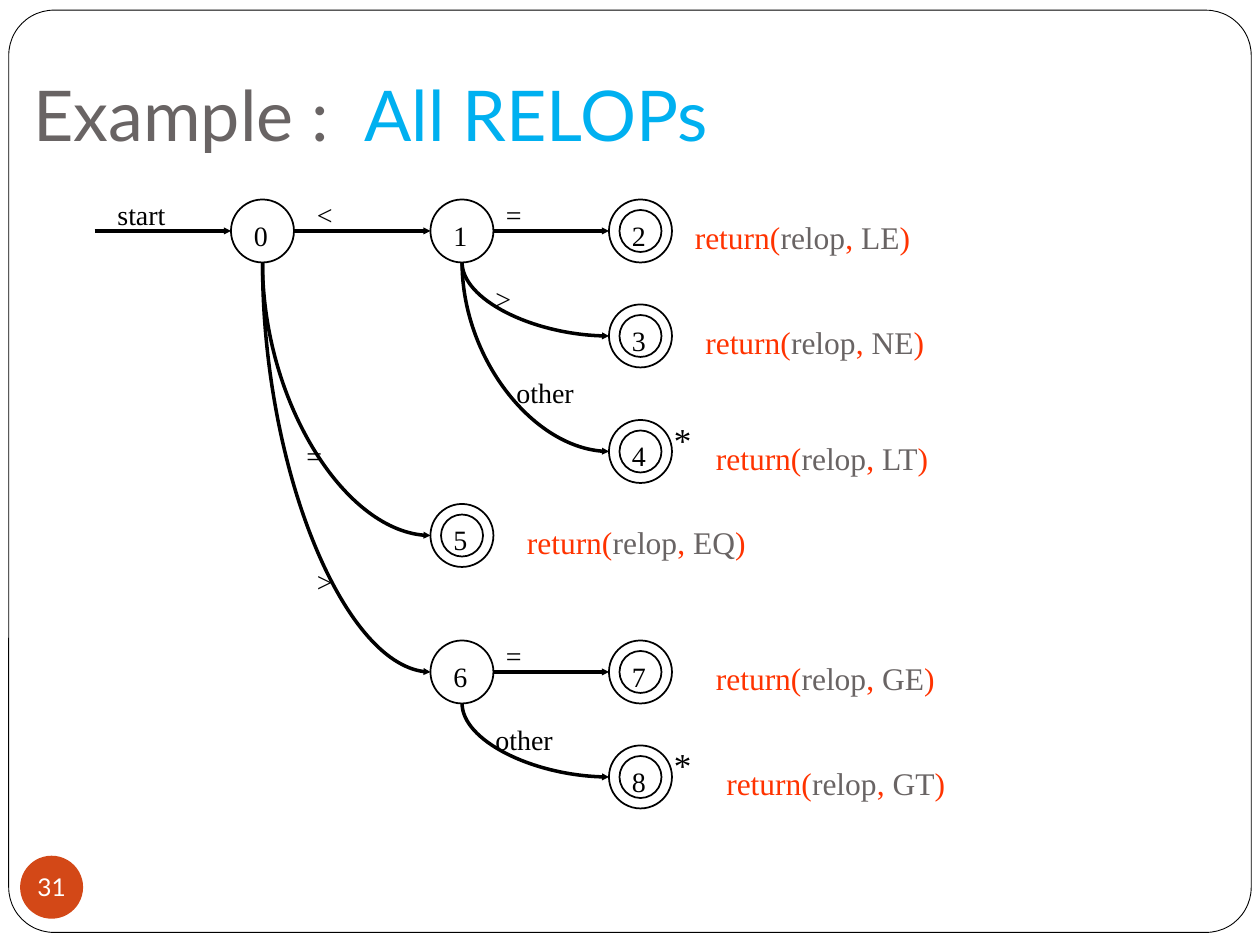
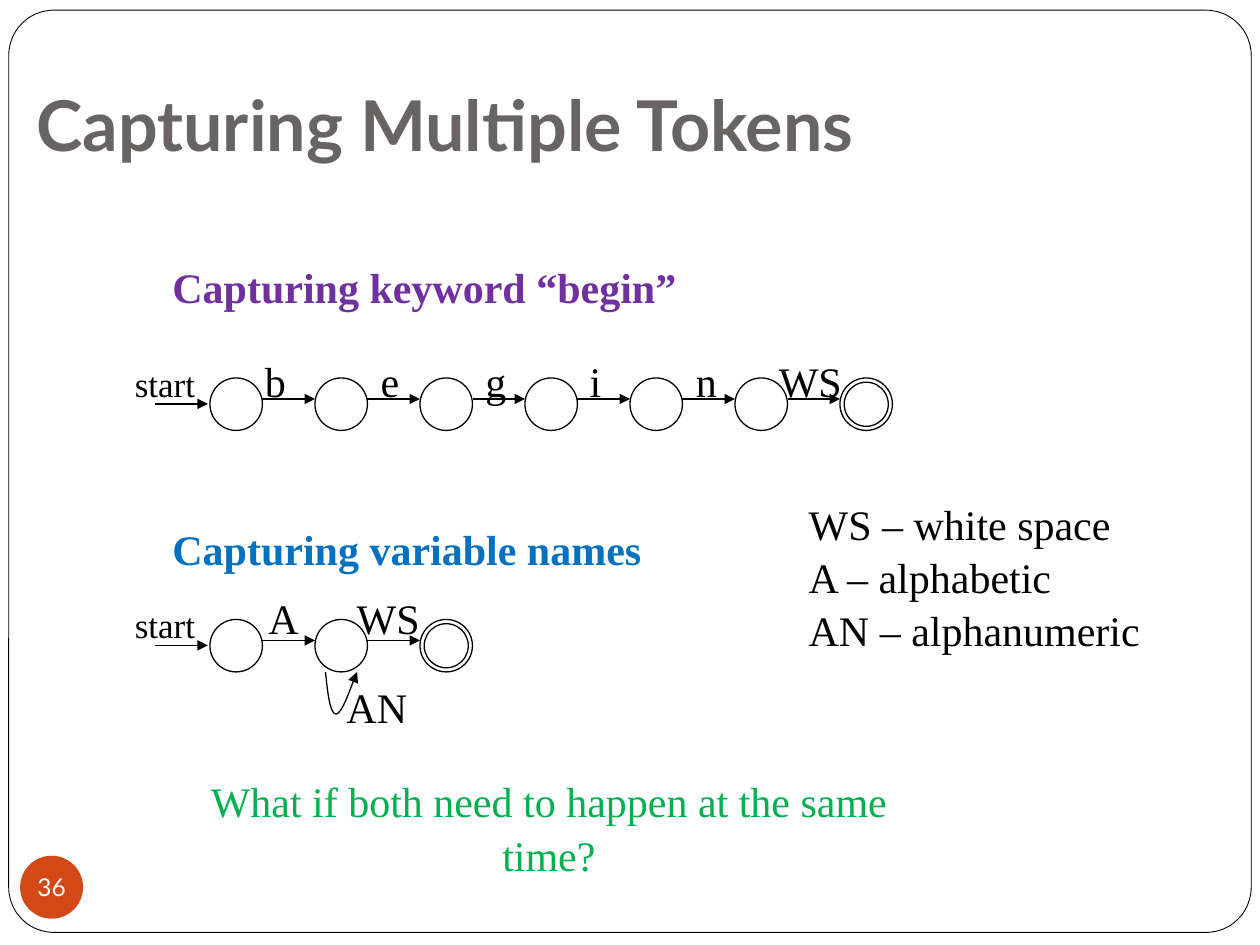
from lxml.etree import SubElement
from pptx import Presentation
from pptx.dml.color import RGBColor
from pptx.enum.shapes import MSO_CONNECTOR, MSO_SHAPE
from pptx.enum.text import MSO_ANCHOR, PP_ALIGN
from pptx.oxml.ns import qn
from pptx.util import Pt

BLACK, WHITE, GREY, RED = "000000", "FFFFFF", "696464", "FF3300"
SERIF, SANS = "Times New Roman", "Lato"
INSETS = (7.2, 3.6, 7.2, 3.6)

RELOPS = {
    "title": [("Example :  ", GREY), ("All RELOPs", "00B0F0")],
    "place": (12, 6), "bold": False, "number": "31",
}
TOKENS = {
    "title": [("Capturing Multiple Tokens", GREY)],
    "place": (13.8, 12), "bold": True, "number": "36",
}

STATES = {
    "0": (132, 114), "1": (246, 114), "2": (348, 114),
    "3": (348, 174), "4": (348, 240), "5": (246, 288),
    "6": (246, 366), "7": (348, 366), "8": (348, 426),
}
RETURNS = {
    "2": ("LE", 390), "3": ("NE", 396), "4": ("LT", 402),
    "5": ("EQ", 294), "7": ("GE", 402), "8": ("GT", 408),
}
STARRED = "48"
EDGES = [
    ("0", "1", "<", 174, 108), ("1", "2", "=", 282, 108),
    ("1", "3", ">", 276, 156), ("1", "4", "other", 288, 210),
    ("0", "5", "=", 168, 246), ("0", "6", ">", 174, 318),
    ("6", "7", "=", 282, 360), ("6", "8", "other", 276, 408),
]

CHAINS = [
    (216, 198, [("b", 157.3), ("e", 222.8), ("g", 283.3),
                ("i", 340.2), ("n", 403.6), ("WS", 463)]),
    (354, 333.4, [("A", 162), ("WS", 221.8)]),
]
HEADS = [
    ("Capturing keyword “begin”", "7030A0", 144, 305),
    ("Capturing variable names", "0070C0", 294, 285),
]
QUESTION = "What if both need to happen at the same time?"
LEGEND = ["WS – white space", "A – alphabetic", "AN – alphanumeric"]
LOOP = [(186, 384), (187.2, 396), (188.6, 408), (192, 408),
        (195.1, 408), (202.3, 388.1), (204, 384)]


def paint(code):
    return RGBColor.from_string(code)


def pts(values):
    return [Pt(value) for value in values]


def ink(line, width, code=BLACK):
    line.color.rgb = paint(code)
    line.width = Pt(width)


def point(shape, width, size):
    ink(shape.line, width)
    ln = shape.element.spPr.find(qn("a:ln"))
    SubElement(ln, qn("a:tailEnd"), type="triangle", w=size, len=size)


def draw(slide, kind, box, fill=None, width=None):
    shape = slide.shapes.add_shape(kind, *pts(box))
    shape.shadow.inherit = False
    if fill:
        shape.fill.solid()
        shape.fill.fore_color.rgb = paint(fill)
    else:
        shape.fill.background()
    if width:
        ink(shape.line, width)
    else:
        shape.line.fill.background()
    return shape


def ring(slide, x, y, size, width, inner=None):
    for span in filter(None, (size, inner)):
        gap = (size - span) / 2
        draw(slide, MSO_SHAPE.OVAL, (x + gap, y + gap, span, span), width=width)


def write(shape, rows, size, font=SERIF, bold=False, align=PP_ALIGN.LEFT,
          anchor=MSO_ANCHOR.TOP, insets=INSETS, wrap=True):
    frame = shape.text_frame
    frame.word_wrap = wrap
    frame.vertical_anchor = anchor
    (frame.margin_left, frame.margin_top,
     frame.margin_right, frame.margin_bottom) = pts(insets)
    for i, row in enumerate(rows):
        para = frame.add_paragraph() if i else frame.paragraphs[0]
        para.alignment = align
        if font == SERIF:
            para.line_spacing = 1.06
        for text, code in row:
            run = para.add_run()
            run.text = text
            run.font.name = font
            run.font.size = Pt(size)
            run.font.bold = bold
            run.font.color.rgb = paint(code)


def label(slide, box, rows, size, **style):
    write(slide.shapes.add_textbox(*pts(box)), rows, size, **style)


def note(slide, text, mid, y, size=24, code=BLACK, width=60, bold=False):
    label(slide, (mid - width / 2, y, width, 36), [[(text, code)]], size,
          bold=bold, align=PP_ALIGN.CENTER, wrap=False)


def arrow(slide, start, end, width, size, curved=False):
    kind = MSO_CONNECTOR.STRAIGHT
    if curved:
        kind = MSO_CONNECTOR.CURVE
        wide, high = end[0] - start[0], end[1] - start[1]
        x, y = start[0] + wide / 2, start[1] + high / 2
        start = (x + high / 2, y - wide / 2)
        end = (x - high / 2, y + wide / 2)
    line = slide.shapes.add_connector(kind, *pts(start + end))
    props = line.element.spPr
    if curved:
        props.find(qn("a:xfrm")).set("rot", "16200000")
        props.find(qn("a:prstGeom")).set("prst", "curvedConnector2")
    point(line, width, size)
    SubElement(props, qn("a:effectLst"))


def loop(slide):
    first, *rest = [pts(spot) for spot in LOOP]
    maker = slide.shapes.build_freeform(*first)
    maker.add_line_segments(rest, close=False)
    shape = maker.convert_to_shape()
    shape.shadow.inherit = False
    shape.fill.background()
    point(shape, 0.75, "med")
    lines = list(shape.element.iter(qn("a:lnTo")))
    for i in range(0, len(lines), 3):
        trio = lines[i:i + 3]
        curve = SubElement(trio[0].getparent(), qn("a:cubicBezTo"))
        for step in trio:
            curve.append(step[0])
            step.getparent().remove(step)


def begin(deck, data):
    slide = deck.slides.add_slide(deck.slide_layouts[6])
    frame = draw(slide, MSO_SHAPE.ROUNDED_RECTANGLE, (5, 5.8, 710, 527), WHITE, 0.5)
    frame.adjustments[0] = 0.049
    label(slide, data["place"] + (600, 90), [data["title"]], 40, font=SANS,
          bold=data["bold"], anchor=MSO_ANCHOR.BOTTOM, insets=(7.2, 3.6, 7.2, 7.2))
    badge = draw(slide, MSO_SHAPE.OVAL, (11.5, 489, 36, 36), "D34817")
    write(badge, [[(data["number"], WHITE)]], 14, font=SANS, align=PP_ALIGN.CENTER,
          anchor=MSO_ANCHOR.MIDDLE, insets=(0, 0, 0, 0), wrap=False)
    return slide


def relops(deck):
    slide = begin(deck, RELOPS)
    arrow(slide, (54, 132), (132, 132), 2, "sm")
    label(slide, (60, 108, 60, 26.6), [[("start", BLACK)]], 16)
    for source, target, text, x, y in EDGES:
        left, top = STATES[source]
        right, base = STATES[target]
        curved = top != base
        start = (left + 18, top + 36) if curved else (left + 36, top + 18)
        arrow(slide, start, (right, base + 18), 2, "sm", curved)
        label(slide, (x, y, 60, 26.6), [[(text, BLACK)]], 16)
    for name, (x, y) in STATES.items():
        ring(slide, x, y, 36, 1, 24 if name in RETURNS else None)
        label(slide, (x + 6, y + 6, 24, 26.6), [[(name, BLACK)]], 16)
        if name in STARRED:
            label(slide, (x + 30, y - 6, 24, 31), [[("*", BLACK)]], 20)
        if name in RETURNS:
            code, left = RETURNS[name]
            row = [("return(", RED), ("relop", GREY), (", ", RED),
                   (code, GREY), (")", RED)]
            label(slide, (left, y + 6, 210, 29), [row], 18)


def tokens(deck):
    slide = begin(deck, TOKENS)
    for text, code, y, width in HEADS:
        note(slide, text, 90 + width / 2, y, code=code, width=width, bold=True)
    for y, high, steps in CHAINS:
        arrow(slide, (88.6, y + 14.8), (118.8, y + 14.8), 0.75, "med")
        note(slide, "start", 94.3, y - 14, size=20)
        for i, (text, mid) in enumerate(steps):
            x = 120 + 60 * i
            ring(slide, x, y, 30, 0.75)
            arrow(slide, (x + 30, y + 12), (x + 60, y + 12), 0.75, "med")
            note(slide, text, mid, high)
        ring(slide, 120 + 60 * len(steps), y, 30, 0.75, 25.2)
    loop(slide)
    note(slide, "AN", 215.3, 384)
    label(slide, (455, 279.4, 204, 122), [[(text, BLACK)] for text in LEGEND], 24,
          wrap=False)
    label(slide, (84, 438, 459.4, 66), [[(QUESTION, "00B050")]], 24,
          align=PP_ALIGN.CENTER)


def main():
    deck = Presentation()
    deck.slide_width, deck.slide_height = Pt(720), Pt(540)
    relops(deck)
    tokens(deck)
    deck.save("out.pptx")


if __name__ == "__main__":
    main()
